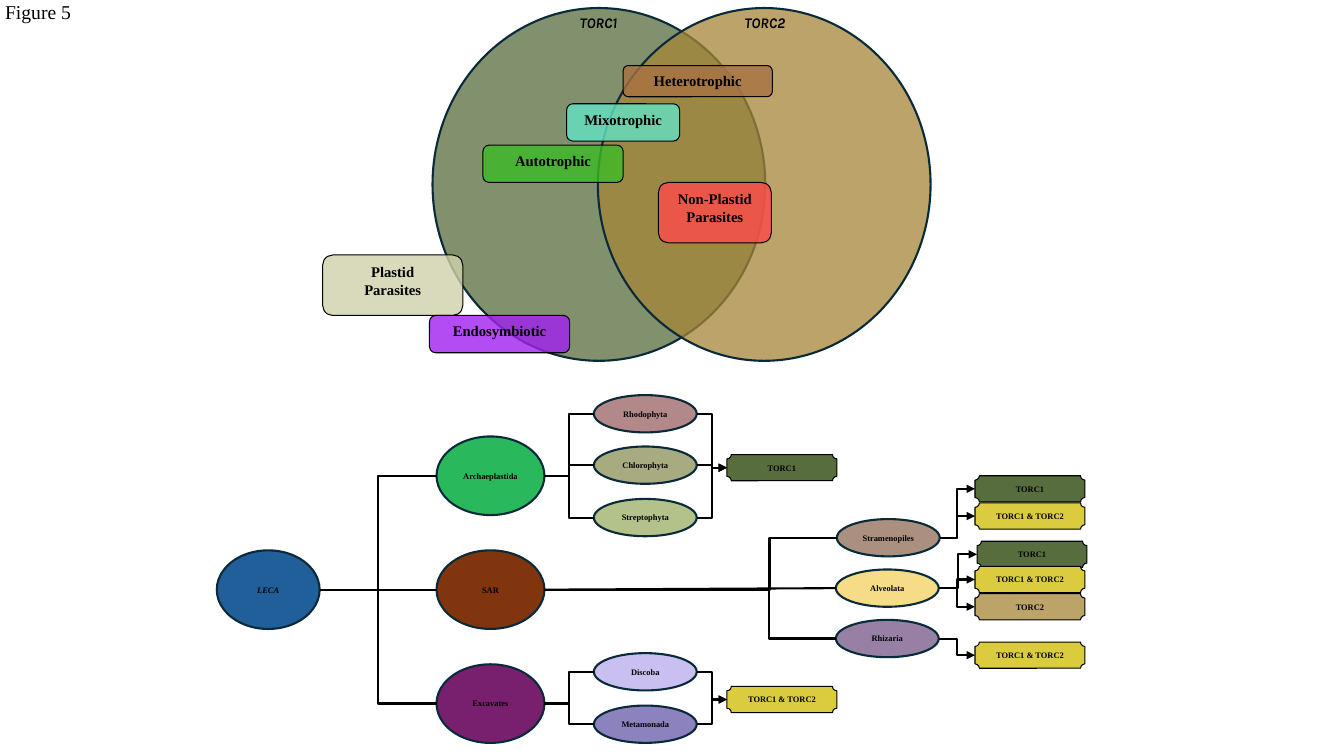
from lxml.etree import SubElement
from pptx import Presentation
from pptx.dml.color import RGBColor
from pptx.enum.shapes import MSO_CONNECTOR, MSO_SHAPE
from pptx.enum.text import MSO_ANCHOR, PP_ALIGN
from pptx.oxml.ns import qn
from pptx.util import Pt

PX = 9144
BLACK = RGBColor(0x00, 0x00, 0x00)
NAVY = RGBColor(0x09, 0x2A, 0x39)
MOSS = RGBColor(0x58, 0x6D, 0x3D)
OCHRE = RGBColor(0xA5, 0x85, 0x37)
GOLD = RGBColor(0xDA, 0xCC, 0x3E)
SAND = RGBColor(0xBC, 0xA4, 0x69)
MINT = RGBColor(0x63, 0xE3, 0xC5)
COPPER = RGBColor(0xA8, 0x71, 0x42)
GREEN = RGBColor(0x3C, 0xBA, 0x26)
RED = RGBColor(0xFE, 0x4A, 0x49)
CREAM = RGBColor(0xD0, 0xD1, 0xAC)
VIOLET = RGBColor(0xA0, 0x20, 0xF0)
BLUE = RGBColor(0x21, 0x5F, 0x9A)
JADE = RGBColor(0x29, 0xB9, 0x5C)
RUST = RGBColor(0x80, 0x35, 0x0E)
PLUM = RGBColor(0x78, 0x20, 0x6E)
YELLOW = RGBColor(0xF7, 0xDC, 0x88)
ROSE = RGBColor(0xB3, 0x88, 0x89)
OLIVE = RGBColor(0xA8, 0xAA, 0x80)
SAGE = RGBColor(0xB3, 0xC2, 0x8A)
MAUVE = RGBColor(0x97, 0x80, 0xA3)
TAUPE = RGBColor(0xAB, 0x90, 0x80)
INDIGO = RGBColor(0x8B, 0x82, 0xBE)
LILAC = RGBColor(0xC9, 0xC0, 0xF1)

TITLE = "Figure 5"
RINGS = [(429, MOSS), (593, OCHRE)]
HEADS = [("TORC1", 549), ("TORC2", 714)]
MODES = [
    ("Mixotrophic", (562, 103, 112, 37), MINT),
    ("Heterotrophic", (618, 65, 148, 31), COPPER),
    ("Autotrophic", (479, 144, 139, 37), GREEN),
    ("Non-Plastid Parasites", (653, 181, 112, 60), RED),
    ("Plastid\nParasites", (320, 253, 139, 60), CREAM),
    ("Endosymbiotic", (426, 313, 139, 37), VIOLET),
]
CLADES = [
    ("LECA", (215, 546, 102, 78), BLUE),
    ("Archaeplastida", (433, 433, 107, 78), JADE),
    ("SAR", (433, 546, 107, 78), RUST),
    ("Excavates", (433, 659, 107, 78), PLUM),
    ("Rhodophyta", (589, 392, 102, 37), ROSE),
    ("Chlorophyta", (589, 443, 102, 37), OLIVE),
    ("Streptophyta", (589, 495, 102, 37), SAGE),
    ("Stramenopiles", (830, 515, 102, 37), TAUPE),
    ("Alveolata", (829, 565, 102, 37), YELLOW),
    ("Rhizaria", (829, 615, 102, 37), MAUVE),
    ("Discoba", (589, 648, 102, 37), LILAC),
    ("Metamonada", (589, 700, 102, 37), INDIGO),
]
TAGS = [
    ("TORC1", 721, 451, MOSS, ["Rhodophyta", "Chlorophyta", "Streptophyta"]),
    ("TORC1 & TORC2", 721, 681, GOLD, ["Discoba", "Metamonada"]),
    ("TORC1", 967, 472, MOSS, ["Stramenopiles"]),
    ("TORC1 & TORC2", 967, 499, GOLD, ["Stramenopiles"]),
    ("TORC1", 969, 537, MOSS, ["Alveolata"]),
    ("TORC1 & TORC2", 967, 562, GOLD, ["Alveolata"]),
    ("TORC2", 967, 589, SAND, ["Alveolata"]),
    ("TORC1 & TORC2", 967, 637, GOLD, ["Rhizaria"]),
]
BONDS = [
    ("LECA", 50000, ["Archaeplastida", "SAR", "Excavates"]),
    ("Archaeplastida", 50000, ["Rhodophyta", "Chlorophyta", "Streptophyta"]),
    ("SAR", 77000, ["Stramenopiles", "Rhizaria"]),
    ("Excavates", 50000, ["Discoba", "Metamonada"]),
]

SERIF = "Times New Roman"
FIGURE = {"name": SERIF, "size": Pt(14), "bold": False}
HEAD = {"name": "Karla", "size": Pt(10.5), "bold": True, "italic": True}
MODE = {"name": SERIF, "size": Pt(10.5), "bold": True}
SMALL = {"name": SERIF, "size": Pt(6), "bold": True}
ROOT = {**SMALL, "italic": True}
TIGHT = {"margin_left": 0, "margin_right": 0}
MIDDLE = {**TIGHT, "vertical_anchor": MSO_ANCHOR.MIDDLE}
TOP = {"vertical_anchor": MSO_ANCHOR.TOP}
CORNER = {**TOP, "margin_left": 5 * PX, "margin_top": 0}


def scale(*nums):
    return [round(n * PX) for n in nums]


def apply(item, style):
    for key, val in style.items():
        setattr(item, key, val)


def write(shape, text, font, frame, align=PP_ALIGN.CENTER):
    box = shape.text_frame
    box.text = text
    box.word_wrap = True
    apply(box, frame)
    for para in box.paragraphs:
        para.alignment = align
        apply(para.font, font)
        para.font.color.rgb = BLACK


def draw(group, kind, rect, fill, edge, width, alpha=100):
    shape = group.shapes.add_shape(kind, *scale(*rect))
    shape.shadow.inherit = False
    shape.fill.solid()
    shape.fill.fore_color.rgb = fill
    shape.line.color.rgb = edge
    shape.line.width = Pt(width)
    if alpha < 100:
        tint = shape.element.spPr.find(qn("a:solidFill"))[0]
        SubElement(tint, qn("a:alpha"), val=str(alpha * 1000))
    return shape


def link(group, start, end, kind=MSO_CONNECTOR.ELBOW, bend=50000, arrow=False):
    x, y, w, h = start
    left, top, _, tall = end
    line = group.shapes.add_connector(kind, *scale(x + w, y + h / 2, left, top + tall / 2))
    line.line.color.rgb = BLACK
    line.line.width = Pt(1.5)
    props = line._element.spPr
    SubElement(props, qn("a:effectLst"))
    if bend != 50000:
        guides = props.find(qn("a:prstGeom")).find(qn("a:avLst"))
        SubElement(guides, qn("a:gd"), name="adj1", fmla=f"val {bend}")
    if arrow:
        SubElement(props.find(qn("a:ln")), qn("a:tailEnd"), type="triangle")


def main():
    deck = Presentation()
    deck.slide_width, deck.slide_height = scale(1333, 750)
    slide = deck.slides.add_slide(deck.slide_layouts[5])
    title = slide.shapes.title
    apply(title, dict(zip(("left", "top", "width", "height"), scale(0, 0, 223, 28))))
    write(title, TITLE, FIGURE, CORNER, PP_ALIGN.LEFT)

    venn = slide.shapes.add_group_shape()
    for x, fill in RINGS:
        draw(venn, MSO_SHAPE.OVAL, (x, 8, 330, 350), fill, NAVY, 1.5, 75)
    for text, rect, fill in MODES:
        box = draw(venn, MSO_SHAPE.ROUNDED_RECTANGLE, rect, fill, BLACK, 0.75, 80)
        write(box, text, MODE, TOP)
    for text, x in HEADS:
        write(venn.shapes.add_textbox(*scale(x, 9, 89, 33)), text, HEAD, TOP)

    tree = slide.shapes.add_group_shape()
    spots = {}
    for text, rect, fill in CLADES:
        spots[text] = rect
        oval = draw(tree, MSO_SHAPE.OVAL, rect, fill, NAVY, 1.5)
        write(oval, text, ROOT if text == "LECA" else SMALL, MIDDLE)
    for start, bend, ends in BONDS:
        for end in ends:
            link(tree, spots[start], spots[end], bend=bend)
    link(tree, spots["SAR"], spots["Alveolata"], MSO_CONNECTOR.STRAIGHT)
    for text, x, y, fill, starts in TAGS:
        rect = (x, y, 109, 26)
        tag = draw(tree, MSO_SHAPE.PLAQUE, rect, fill, BLACK, 0.75)
        write(tag, text, SMALL, MIDDLE)
        for start in starts:
            link(tree, spots[start], rect, arrow=True)

    deck.save("out.pptx")


if __name__ == "__main__":
    main()
